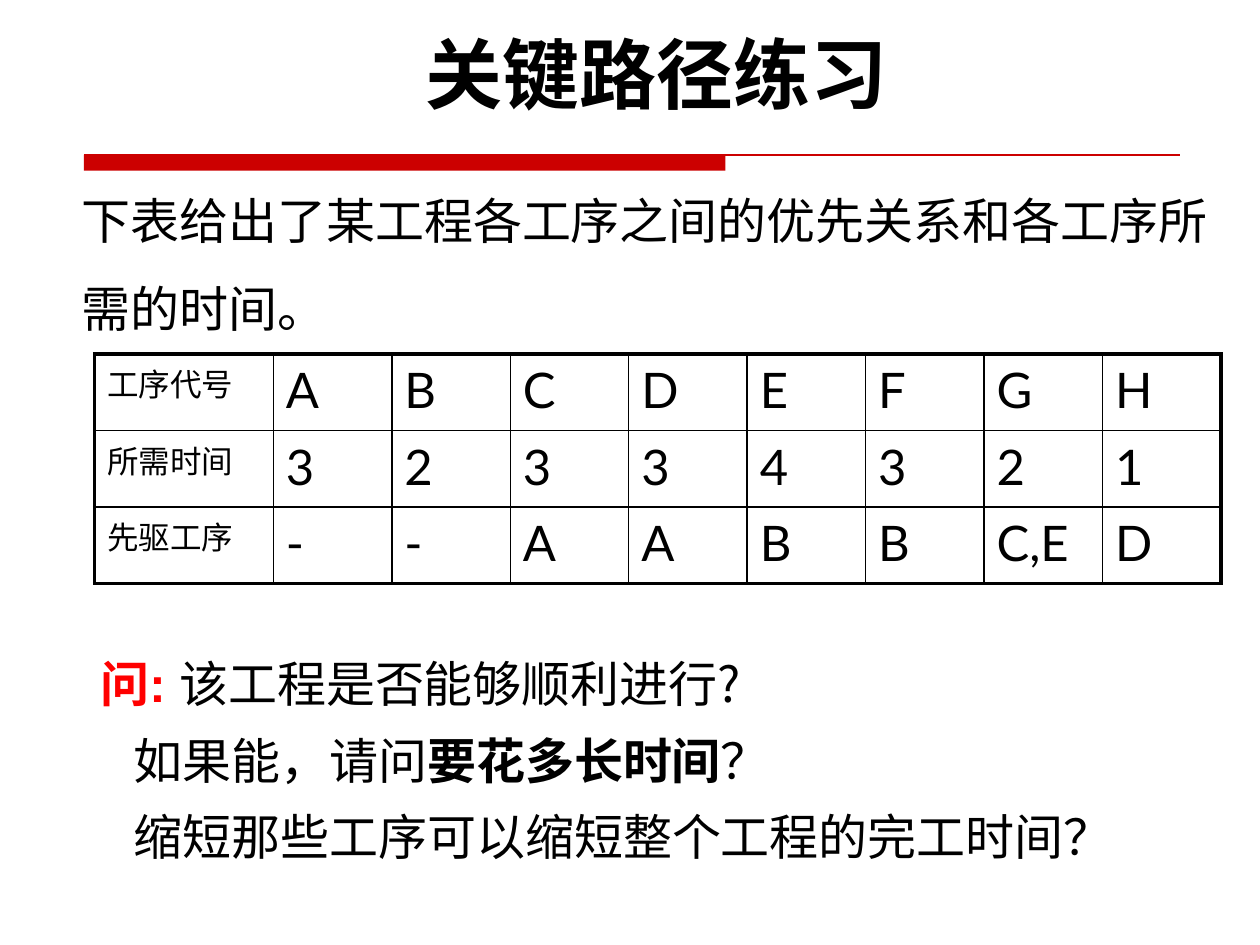
"""Build the critical path exercise slide with its task table and questions."""
from typing import NamedTuple

from lxml import etree
from pptx import Presentation
from pptx.dml.color import RGBColor
from pptx.enum.shapes import MSO_CONNECTOR, MSO_SHAPE
from pptx.enum.text import MSO_ANCHOR, PP_ALIGN
from pptx.oxml.ns import qn
from pptx.util import Pt

RECTANGLE = MSO_SHAPE.RECTANGLE
STRAIGHT = MSO_CONNECTOR.STRAIGHT
TOP, BOTTOM = MSO_ANCHOR.TOP, MSO_ANCHOR.BOTTOM
LEFT, CENTER = PP_ALIGN.LEFT, PP_ALIGN.CENTER

BLACK = RGBColor(0x00, 0x00, 0x00)
RED = RGBColor(0xFF, 0x00, 0x00)
DARK_RED = RGBColor(0xCC, 0x00, 0x00)
LATO, ARIAL, CJK = "Lato", "Arial", "Noto Sans CJK SC"

OUTER_BORDER, INNER_BORDER = 2.25, 1
LABEL_WIDTH, TASK_WIDTH, ROW_HEIGHT = 102.2, 67.7, 43.7
TASK_ROWS = [
    ["工序代号", "A", "B", "C", "D", "E", "F", "G", "H"],
    ["所需时间", "3", "2", "3", "3", "4", "3", "2", "1"],
    ["先驱工序", "-", "-", "A", "A", "B", "B", "C,E", "D"],
]


class Span(NamedTuple):
    text: str
    size: float = 28
    font: str = CJK
    color: RGBColor = BLACK
    bold: bool = False


class Line(NamedTuple):
    spans: list[Span]
    indent: float = 0


class Block(NamedTuple):
    left: float
    top: float
    width: float
    height: float
    lines: list[Line]
    spacing: float = 1
    anchor: MSO_ANCHOR = TOP
    align: PP_ALIGN = LEFT
    wrap: bool = True


BLOCKS = [
    Block(39.6, 101.5, 668.9, 95,
          [Line([Span("下表给出了某工程各工序之间的优先关系和各工序所需的时间。")])],
          spacing=1.5, anchor=BOTTOM),
    Block(50.4, 360, 636.5, 133.2, [
        Line([Span("问: ", font=ARIAL, color=RED, bold=True),
              Span("该工程是否能够顺利进行?")]),
        Line([Span("如果能，请问"), Span("要花多长时间", bold=True), Span("？")], indent=19),
        Line([Span("缩短那些工序可以缩短整个工程的完工时间？")], indent=19),
    ], spacing=1.3, wrap=False),
    Block(42.5, 11.5, 666, 60.5,
          [Line([Span("关键路径练习", size=44, font=LATO, bold=True)])], align=CENTER),
]


def write_spans(paragraph, spans: list[Span]) -> None:
    """Add the formatted runs of one line to a paragraph."""
    for span in spans:
        run = paragraph.add_run()
        run.text = span.text
        run.font.size = Pt(span.size)
        run.font.bold = span.bold
        run.font.color.rgb = span.color
        run.font.name = span.font
        east_asian = etree.SubElement(run.font._element, qn("a:ea"))
        east_asian.set("typeface", CJK)


def add_block(slide, block: Block) -> None:
    """Draw one text box with its lines."""
    box = slide.shapes.add_textbox(
        Pt(block.left), Pt(block.top), Pt(block.width), Pt(block.height))
    frame = box.text_frame
    frame.word_wrap = block.wrap
    frame.vertical_anchor = block.anchor
    for index, line in enumerate(block.lines):
        paragraph = frame.add_paragraph() if index else frame.paragraphs[0]
        paragraph.alignment = block.align
        paragraph.line_spacing = block.spacing
        if line.indent:
            properties = paragraph._p.get_or_add_pPr()
            properties.set("marL", str(Pt(line.indent)))
            properties.set("indent", "0")
        write_spans(paragraph, line.spans)


def add_title_rule(slide) -> None:
    """Draw the thick bar and the thin line below the title."""
    left, top, right = Pt(48), Pt(88.5), Pt(674.5)
    bar = slide.shapes.add_shape(RECTANGLE, left, top, Pt(366.5), Pt(9))
    bar.shadow.inherit = False
    bar.fill.solid()
    bar.fill.fore_color.rgb = DARK_RED
    bar.line.fill.background()
    thin_line = slide.shapes.add_connector(STRAIGHT, left, top, right, top)
    thin_line.line.color.rgb = DARK_RED
    thin_line.line.width = Pt(0.75)
    etree.SubElement(thin_line._element.spPr, qn("a:effectLst"))


def set_borders(cell, outer_sides: dict[str, bool]) -> None:
    """Give a cell black borders, thicker on the outer sides of the table."""
    properties = cell._tc.get_or_add_tcPr()
    for index, (side, is_outer) in enumerate(outer_sides.items()):
        border = etree.Element(qn(f"a:ln{side}"))
        border.set("w", str(Pt(OUTER_BORDER if is_outer else INNER_BORDER)))
        fill = etree.SubElement(border, qn("a:solidFill"))
        etree.SubElement(fill, qn("a:srgbClr")).set("val", str(BLACK))
        properties.insert(index, border)


def add_task_table(slide) -> None:
    """Draw the table of tasks, durations and predecessors."""
    row_count, column_count = len(TASK_ROWS), len(TASK_ROWS[0])
    widths = [LABEL_WIDTH] + [TASK_WIDTH] * (column_count - 1)
    table = slide.shapes.add_table(
        row_count, column_count, Pt(54), Pt(202.3),
        Pt(sum(widths)), Pt(ROW_HEIGHT * row_count)).table
    table.first_row = table.horz_banding = False
    for column, width in zip(table.columns, widths):
        column.width = Pt(width)
    for row_index, values in enumerate(TASK_ROWS):
        table.rows[row_index].height = Pt(ROW_HEIGHT)
        for column_index, value in enumerate(values):
            cell = table.cell(row_index, column_index)
            cell.fill.background()
            size = 28 if column_index else 18
            write_spans(cell.text_frame.paragraphs[0], [Span(value, size, LATO)])
            set_borders(cell, {
                "L": column_index == 0,
                "R": column_index == column_count - 1,
                "T": row_index == 0,
                "B": row_index == row_count - 1,
            })


def main() -> None:
    """Build and save the slide."""
    presentation = Presentation()
    presentation.slide_width, presentation.slide_height = Pt(720), Pt(540)
    slide = presentation.slides.add_slide(presentation.slide_layouts[6])
    add_title_rule(slide)
    add_task_table(slide)
    for block in BLOCKS:
        add_block(slide, block)
    presentation.save("out.pptx")


if __name__ == "__main__":
    main()
